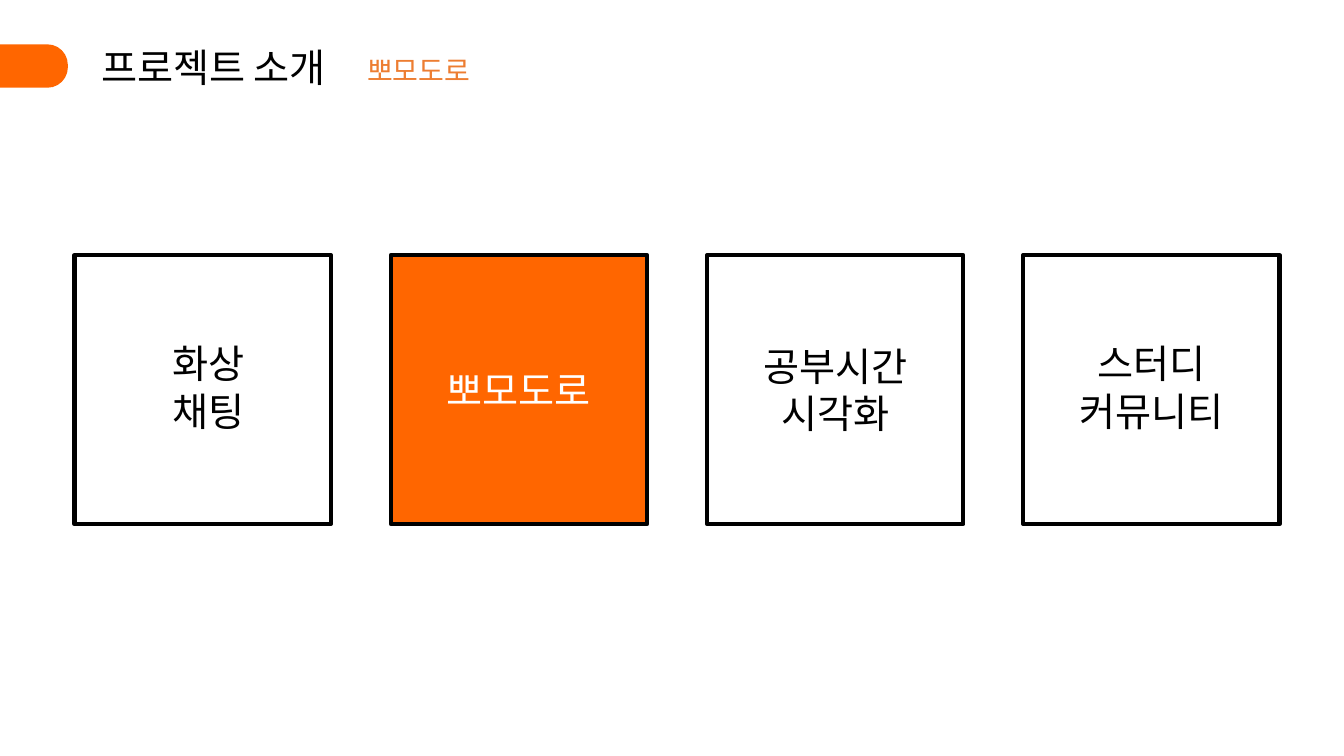
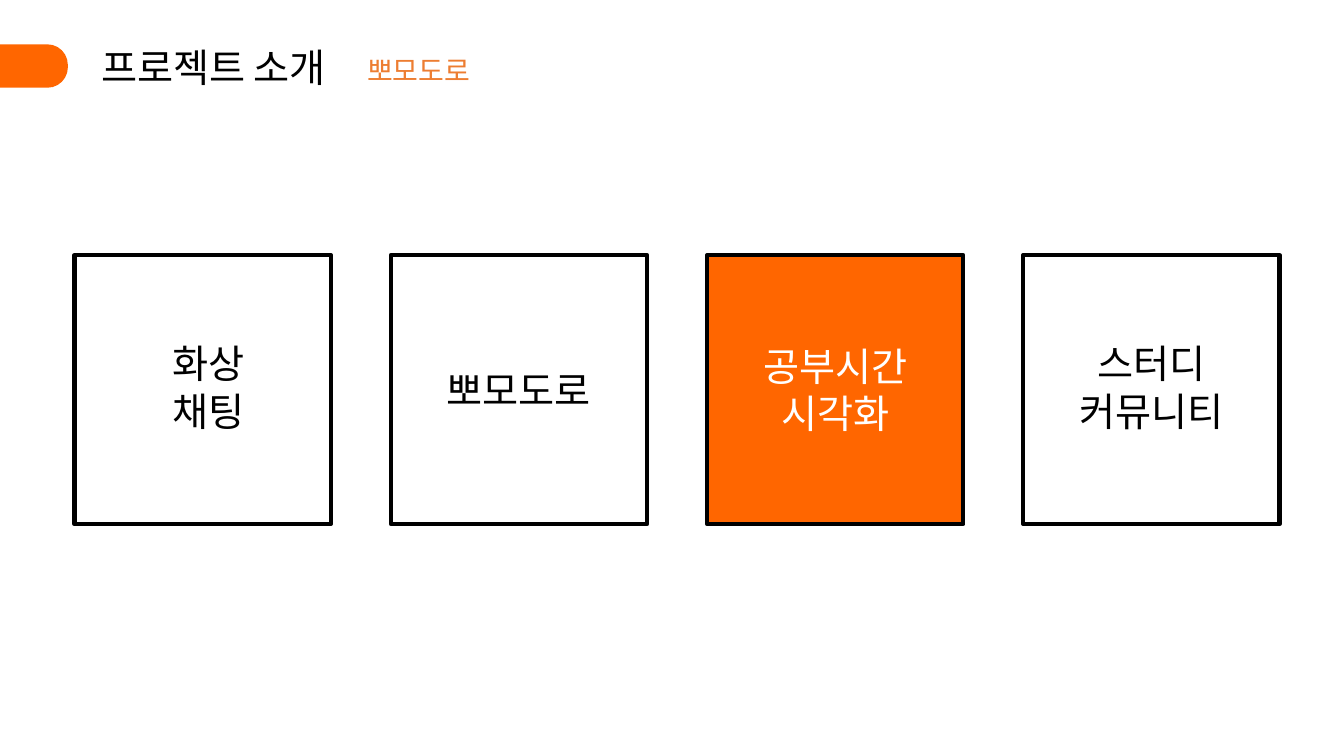
from pptx import Presentation
from pptx.dml.color import RGBColor
from pptx.enum import shapes, text
from pptx.oxml.ns import qn
from pptx.util import Pt

FONT = "Noto Sans CJK KR"
ORANGE, AMBER, BLACK, WHITE = "FF6600", "ED7D31", "000000", "FFFFFF"

# Row of cards
CARD_LEFT, CARD_TOP = 53.3, 182.2
CARD_WIDTH, CARD_HEIGHT, CARD_GAP = 183, 192.2, 42.9

# Lines of each card, with its left, right and bottom insets
CARDS = [
    (["화상채팅"], (63, 54, 7)),  # narrow, so that it wraps in two
    (["뽀모도로"], (7, 7, 3)),
    (["공부시간", "시각화"], (7, 7, 3)),
    (["스터디", "커뮤니티"], (7, 7, 7)),
]


def color(hex_code):
    return RGBColor.from_string(hex_code)


def write(shape, lines, size, hex_code):
    """Fill a shape with centred paragraphs."""
    frame = shape.text_frame
    frame.word_wrap = True
    frame.auto_size = text.MSO_AUTO_SIZE.NONE
    frame.vertical_anchor = text.MSO_ANCHOR.MIDDLE
    frame.text = "\n".join(lines)
    for paragraph in frame.paragraphs:
        paragraph.alignment = text.PP_ALIGN.CENTER
        font = paragraph.font
        font.size = Pt(size)
        font.name = FONT
        font.color.rgb = color(hex_code)
        east_asian = font._element.makeelement(qn("a:ea"), {"typeface": FONT})
        font._element.find(qn("a:latin")).addnext(east_asian)


def add_box(slide, kind, left, top, width, height, fill, line=None):
    shape = slide.shapes.add_shape(kind, Pt(left), Pt(top), Pt(width), Pt(height))
    shape.shadow.inherit = False
    shape.fill.solid()
    shape.fill.fore_color.rgb = color(fill)
    if line:
        shape.line.color.rgb = color(line)
        shape.line.width = Pt(3)
    else:
        shape.line.fill.background()
    return shape


def add_header(slide, title, topic):
    # Tab at the left edge
    tab = add_box(slide, shapes.MSO_SHAPE.ROUNDED_RECTANGLE, -48, 31.7, 96.5, 31, ORANGE)
    tab.adjustments[0] = 0.47

    # Title and current topic
    heading = slide.shapes.title
    heading.left, heading.top = Pt(48), Pt(27)
    heading.width, heading.height = Pt(209), Pt(41)
    write(heading, [title], 28, BLACK)
    label = slide.shapes.add_textbox(Pt(240.5), Pt(34.6), Pt(117.4), Pt(31.7))
    write(label, [topic], 20, AMBER)


def add_cards(slide, active):
    for index, (lines, (left, right, bottom)) in enumerate(CARDS):
        chosen = index == active
        card = add_box(slide, shapes.MSO_SHAPE.RECTANGLE,
                       CARD_LEFT + index * (CARD_WIDTH + CARD_GAP), CARD_TOP,
                       CARD_WIDTH, CARD_HEIGHT, ORANGE if chosen else WHITE, BLACK)
        write(card, lines, 28, WHITE if chosen else BLACK)
        frame = card.text_frame
        frame.margin_left, frame.margin_right = Pt(left), Pt(right)
        frame.margin_top, frame.margin_bottom = Pt(3), Pt(bottom)


def main():
    presentation = Presentation()
    presentation.slide_width, presentation.slide_height = Pt(960), Pt(540)
    for active in (1, 2):
        slide = presentation.slides.add_slide(presentation.slide_layouts[5])
        add_header(slide, "프로젝트 소개", "뽀모도로")
        add_cards(slide, active)
    presentation.save("out.pptx")


if __name__ == "__main__":
    main()
